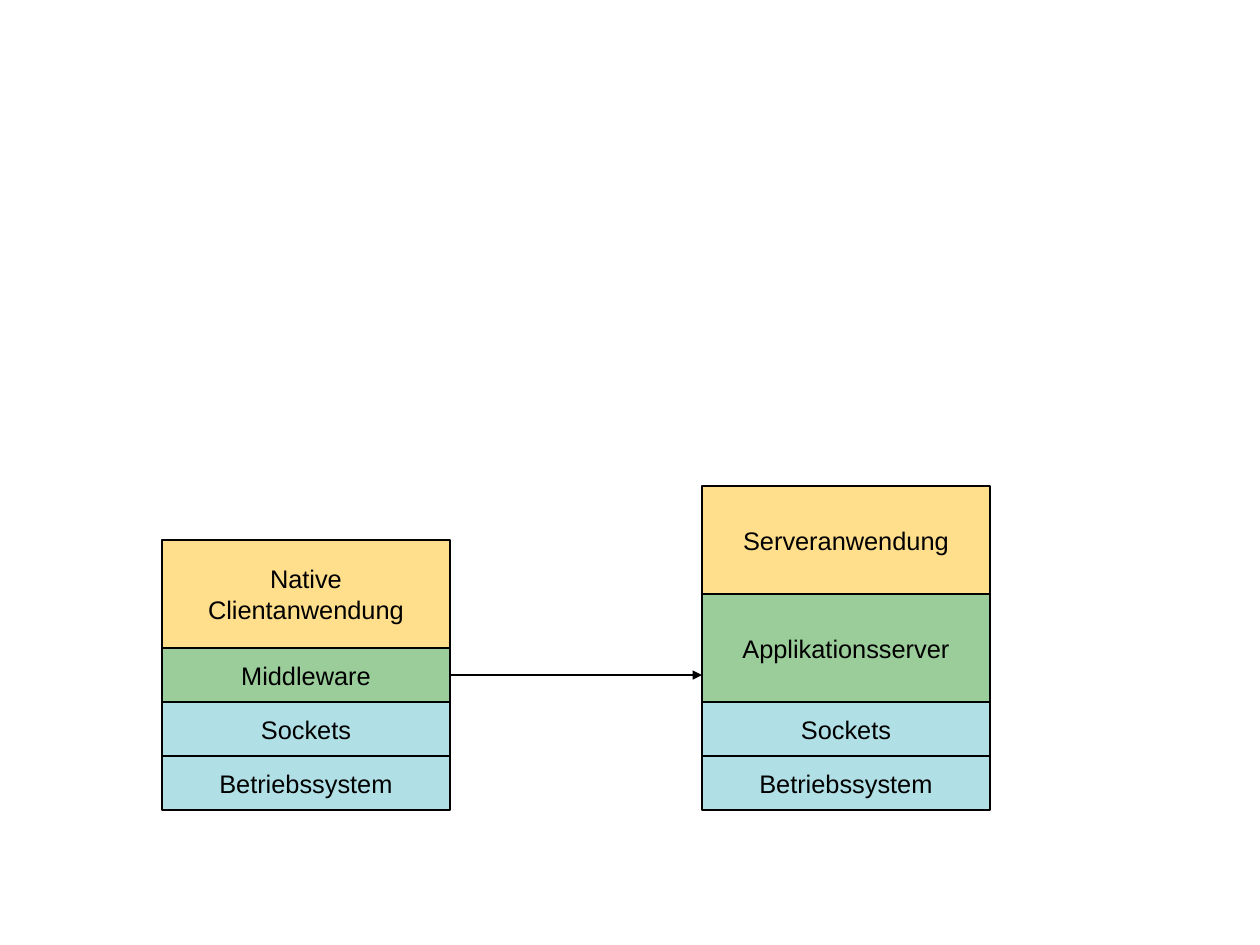
from lxml.etree import SubElement
from pptx import Presentation
from pptx.dml.color import RGBColor
from pptx.enum.shapes import MSO_CONNECTOR as Connector, MSO_SHAPE as Shape
from pptx.enum.text import MSO_ANCHOR as Anchor, PP_ALIGN as Align
from pptx.oxml.ns import qn
from pptx.util import Inches, Pt

BLACK, YELLOW, GREEN, BLUE = "000000", "FFDE8C", "9BCD9B", "B0E0E6"
ROW = 1.2
BASE = 18
LAYER_WIDTH = 6.4
CLIENT_LEFT, SERVER_LEFT = 3.6, 15.6
SYSTEM_LAYERS = [("Betriebssystem", BLUE, 1), ("Sockets", BLUE, 1)]
CLIENT_LAYERS = SYSTEM_LAYERS + [
    ("Middleware", GREEN, 1),
    ("Native\nClientanwendung", YELLOW, 2),
]
SERVER_LAYERS = SYSTEM_LAYERS + [
    ("Applikationsserver", GREEN, 2),
    ("Serveranwendung", YELLOW, 2),
]


def grid(centimetres):
    """Convert a length on the centimetre grid."""
    return Inches(round(centimetres, 2) / 2.54)


def paint(color_format, hex_color):
    """Set a colour from a hex string."""
    color_format.rgb = RGBColor.from_string(hex_color)


def add_layer(slide, label, color, left, top, height):
    """Draw one labelled layer of a software stack."""
    layer = slide.shapes.add_shape(
        Shape.RECTANGLE, grid(left), grid(top), grid(LAYER_WIDTH), grid(height)
    )
    layer.shadow.inherit = False
    layer.fill.solid()
    paint(layer.fill.fore_color, color)
    paint(layer.line.color, BLACK)
    layer.line.width = Pt(0.85)

    frame = layer.text_frame
    frame.text = label
    frame.word_wrap = False
    frame.vertical_anchor = Anchor.MIDDLE
    frame.margin_left = frame.margin_right = Inches(0.1)
    frame.margin_top = frame.margin_bottom = Inches(0.06)
    for paragraph in frame.paragraphs:
        paragraph.alignment = Align.CENTER
        for run in paragraph.runs:
            run.font.name = "Arial"
            run.font.size = Pt(16)
            paint(run.font.color, BLACK)


def add_stack(slide, left, layers):
    """Pile layers upwards from the common base line."""
    top = BASE
    for label, color, rows in layers:
        top -= rows * ROW
        add_layer(slide, label, color, left, top, rows * ROW)


def add_arrow(slide, start, end, y):
    """Draw a horizontal arrow."""
    arrow = slide.shapes.add_connector(
        Connector.STRAIGHT, grid(start), grid(y), grid(end), grid(y)
    )
    paint(arrow.line.color, BLACK)
    arrow.line.width = Pt(1.42)
    SubElement(arrow.line._get_or_add_ln(), qn("a:tailEnd"), type="triangle")
    SubElement(arrow._element.spPr, qn("a:effectLst"))


def main():
    """Build the client and server stacks and save the slide."""
    deck = Presentation()
    deck.slide_width, deck.slide_height = grid(28), grid(21)
    slide = deck.slides.add_slide(deck.slide_layouts[6])
    add_stack(slide, SERVER_LEFT, SERVER_LAYERS)
    add_stack(slide, CLIENT_LEFT, CLIENT_LAYERS)
    add_arrow(slide, CLIENT_LEFT + LAYER_WIDTH, SERVER_LEFT, BASE - 2.5 * ROW)
    deck.save("out.pptx")


if __name__ == "__main__":
    main()
